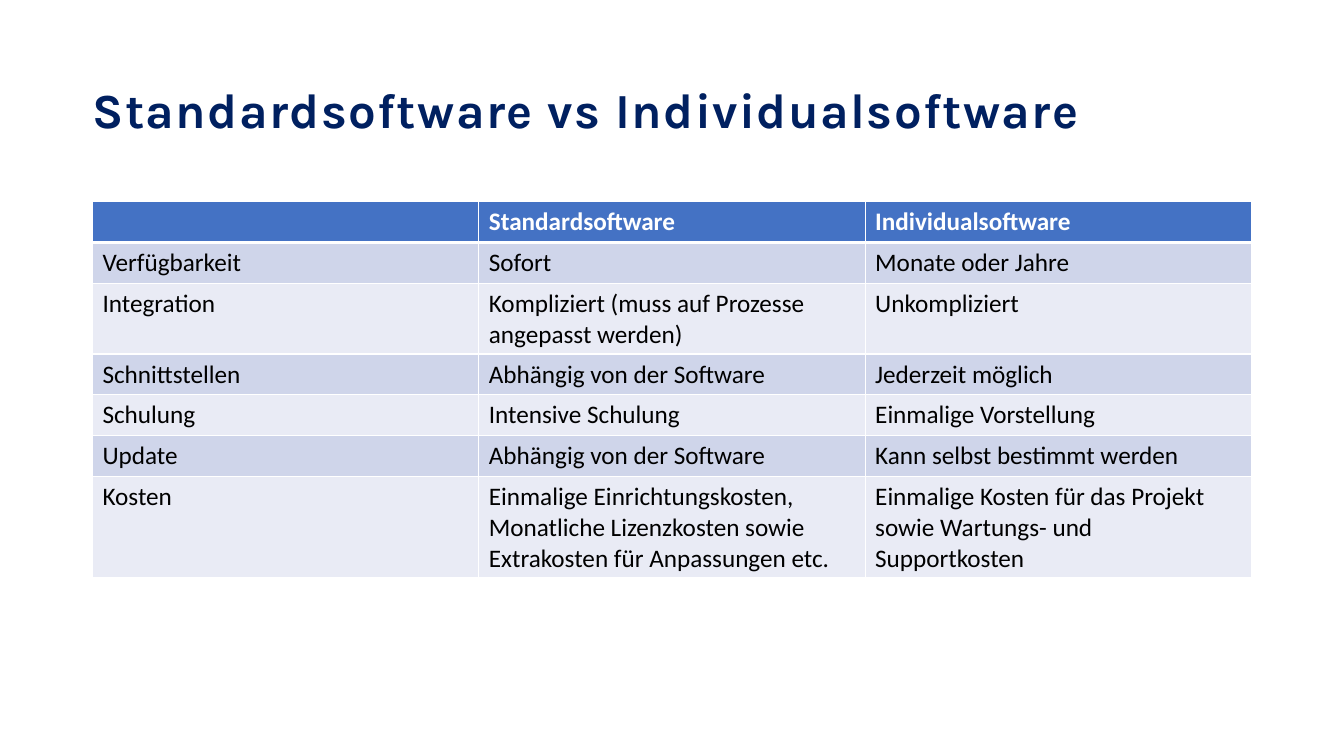
from lxml import etree
from pptx import Presentation
from pptx import util as u
from pptx.dml.color import RGBColor
from pptx.enum import text
from pptx.oxml.ns import qn

TITLE = "Standardsoftware vs Individualsoftware"
ROWS = [
    ("", "Standardsoftware", "Individualsoftware"),
    ("Verfügbarkeit", "Sofort", "Monate oder Jahre"),
    ("Integration", "Kompliziert (muss auf Prozesse angepasst werden)", "Unkompliziert"),
    ("Schnittstellen", "Abhängig von der Software", "Jederzeit möglich"),
    ("Schulung", "Intensive Schulung", "Einmalige Vorstellung"),
    ("Update", "Abhängig von der Software", "Kann selbst bestimmt werden"),
    ("Kosten",
     "Einmalige Einrichtungskosten, Monatliche Lizenzkosten sowie Extrakosten für Anpassungen etc.",
     "Einmalige Kosten für das Projekt sowie Wartungs- und Supportkosten"),
]
COLORS = {"title": "002060", "header": "4472C4", "odd": "CFD5EA", "even": "E9EBF5",
          "white": "FFFFFF", "black": "000000"}
LEFT, WIDTH = u.Cm(2.33), u.Cm(29.21)
ROW_HEIGHT = u.Cm(1.03)


def write(frame, content, font="Calibri", size=18, color="black", bold=False, leading=None):
    para = frame.paragraphs[0]
    para.line_spacing = leading
    span = para.add_run()
    span.text = content
    span.font.name, span.font.size, span.font.bold = font, u.Pt(size), bold
    span.font.color.rgb = RGBColor.from_string(COLORS[color])


def draw_borders(cell, bottom):
    """Borders must come before the fill in the cell properties."""
    props = cell._tc.get_or_add_tcPr()
    widths = {"a:lnL": 1, "a:lnR": 1, "a:lnT": 1, "a:lnB": bottom}
    for place, (tag, width) in enumerate(widths.items()):
        line = etree.Element(qn(tag), w=str(u.Pt(width)))
        fill = etree.SubElement(line, qn("a:solidFill"))
        etree.SubElement(fill, qn("a:srgbClr"), val=COLORS["white"])
        props.insert(place, line)


deck = Presentation()
deck.slide_width, deck.slide_height = u.Cm(33.87), u.Cm(19.05)
page = deck.slides.add_slide(deck.slide_layouts[6])

# Title
box = page.shapes.add_textbox(LEFT, u.Cm(1.01), WIDTH, u.Cm(3.68))
frame = box.text_frame
frame.word_wrap = True
frame.vertical_anchor = text.MSO_ANCHOR.MIDDLE
frame.margin_left = frame.margin_right = frame.margin_top = frame.margin_bottom = 0
write(frame, TITLE, font="Karla", size=35, color="title", bold=True, leading=0.9)
frame.paragraphs[0].runs[0].font._element.set("spc", "100")

# Comparison table
table = page.shapes.add_table(len(ROWS), len(ROWS[0]), LEFT, u.Cm(5.08),
                              WIDTH, ROW_HEIGHT * len(ROWS)).table
for r, row in enumerate(ROWS):
    table.rows[r].height = ROW_HEIGHT
    header = r == 0
    band = "header" if header else "odd" if r % 2 else "even"
    for c, content in enumerate(row):
        cell = table.cell(r, c)
        cell.fill.solid()
        cell.fill.fore_color.rgb = RGBColor.from_string(COLORS[band])
        draw_borders(cell, bottom=3 if header else 1)
        write(cell.text_frame, content, color="white" if header else "black", bold=header)

deck.save("out.pptx")
